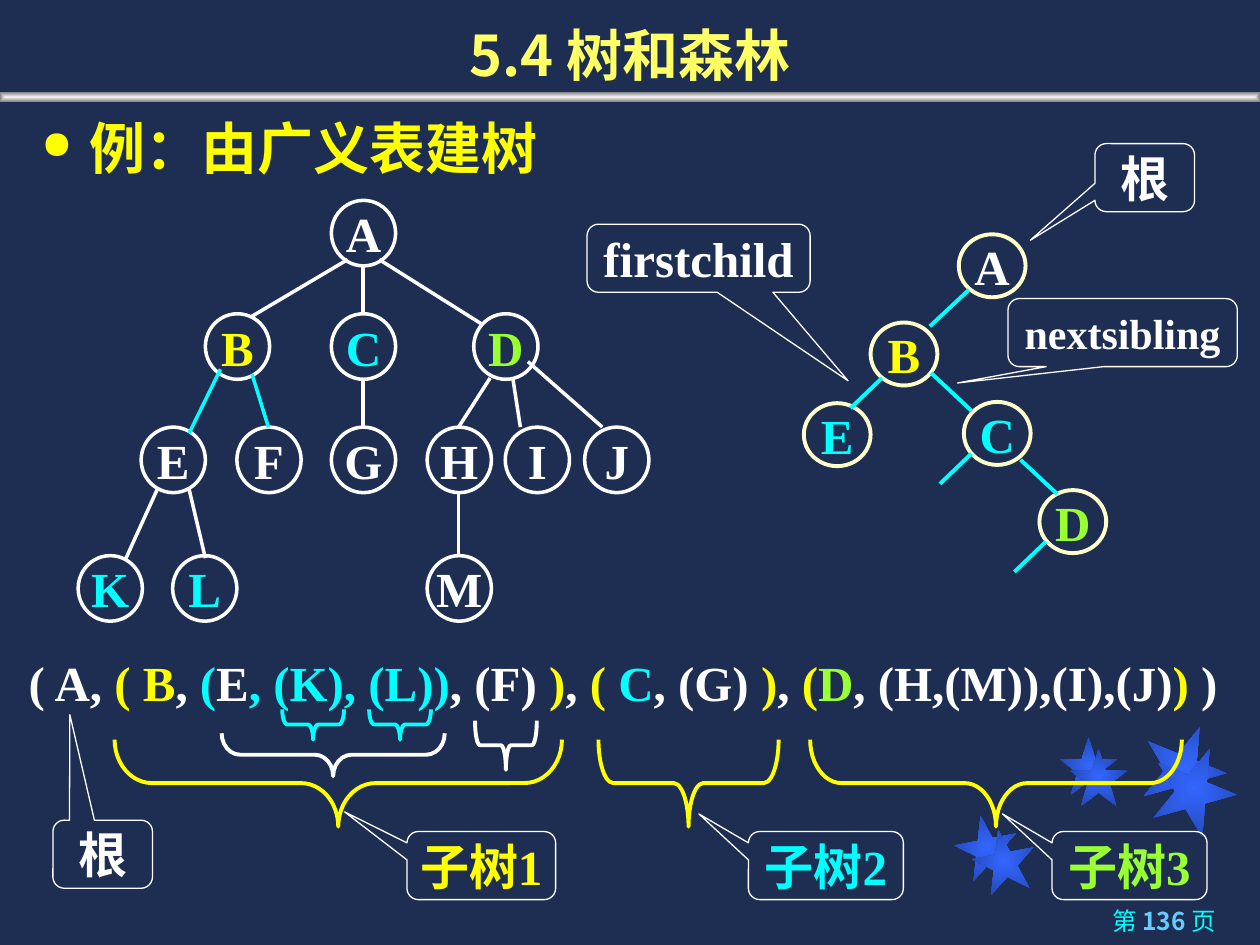
from dataclasses import dataclass

from lxml import etree
from pptx import Presentation
from pptx import util as u
from pptx.dml.color import RGBColor
from pptx.enum import shapes, text
from pptx.oxml.ns import qn

COLORS = {
    "navy": "1E2E53", "white": "FFFFFF", "yellow": "FFFF00", "title": "FFFF66",
    "cyan": "00FFFF", "green": "99FF33", "cream": "FFFFCC", "number": "66CCFF",
    "star": "3366FF", "star_edge": "2449B6", "bar": "F2F2F2", "bar_edge": "808080",
}
SERIF, SANS, CJK = "Times New Roman", "Arial", "Noto Sans CJK SC"
SHAPE = shapes.MSO_SHAPE


@dataclass
class Node:
    label: str
    left: float
    top: float
    color: str = "white"


@dataclass
class Edge:
    start: tuple[float, float]
    end: tuple[float, float]
    color: str = "white"


@dataclass
class Brace:
    left: float
    top: float
    width: float
    depth: float
    bend: float
    color: str


@dataclass
class Callout:
    label: str
    left: float
    top: float
    width: float
    tip: tuple[float, float]
    color: str = "white"
    size: int = 28


def length(inches: float) -> u.Length:
    return u.Cm(inches * 2.54)


def rgb(name: str) -> RGBColor:
    return RGBColor.from_string(COLORS[name])


def format_run(run, color: str, size: int, font: str = SERIF, bold: bool = True) -> None:
    run.font.name, run.font.size, run.font.bold = font, u.Pt(size), bold
    run.font.color.rgb = rgb(color)
    run.font._element.find(qn("a:latin")).addnext(
        etree.Element(qn("a:ea"), typeface=CJK))


def add_runs(paragraph, parts: list[tuple[str, str]], size: int) -> None:
    for words, color in parts:
        run = paragraph.add_run()
        run.text = words
        format_run(run, color, size)


def add_label(shape, label: str, color: str, size: int, wrap: bool) -> None:
    frame = shape.text_frame
    frame.text = label
    frame.word_wrap = wrap
    frame.vertical_anchor = text.MSO_ANCHOR.MIDDLE
    frame.paragraphs[0].alignment = text.PP_ALIGN.CENTER
    format_run(frame.paragraphs[0].runs[0], color, size)


def add_shape(slide, kind, left: float, top: float, width: float, height: float):
    shape = slide.shapes.add_shape(kind, *map(length, (left, top, width, height)))
    shape.shadow.inherit = False
    return shape


def add_outline(slide, kind, box: tuple, color: str, weight: float):
    shape = add_shape(slide, kind, *box)
    shape.fill.background()
    shape.line.color.rgb = rgb(color)
    shape.line.width = u.Pt(weight)
    return shape


def add_glow(slide, kind, box: tuple, center: str, edge: str, rotation: int = 0) -> None:
    shape = add_shape(slide, kind, *box)
    shape.rotation = rotation
    shape.line.fill.background()
    shape.fill.gradient()
    for stop, color in zip(shape.fill.gradient_stops, (center, edge)):
        stop.color.rgb = rgb(color)
    linear = shape._element.spPr.find(qn("a:gradFill")).find(qn("a:lin"))
    path = etree.Element(qn("a:path"), path="shape")
    etree.SubElement(path, qn("a:fillToRect"), l="50000", t="50000", r="50000", b="50000")
    linear.getparent().replace(linear, path)


def add_node(slide, node: Node, width: float, height: float, line: str, weight: float) -> None:
    box = (node.left, node.top, width, height)
    shape = add_outline(slide, SHAPE.OVAL, box, line, weight)
    add_label(shape, node.label, node.color, 28, False)


def add_edge(slide, edge: Edge, weight: float) -> None:
    line = slide.shapes.add_connector(
        shapes.MSO_CONNECTOR.STRAIGHT, *map(length, edge.start + edge.end))
    line.line.color.rgb = rgb(edge.color)
    line.line.width = u.Pt(weight)
    etree.SubElement(line._element.spPr, qn("a:effectLst"))


def add_brace(slide, brace: Brace) -> None:
    # A left brace turned to point down: swap its sides around the same centre
    shift = (brace.width - brace.depth) / 2
    box = (brace.left + shift, brace.top - shift, brace.depth, brace.width)
    shape = add_outline(slide, SHAPE.LEFT_BRACE, box, brace.color, 2.25)
    shape.rotation = 270
    shape.adjustments[0] = brace.bend


def add_callout(slide, callout: Callout) -> None:
    box = (callout.left, callout.top, callout.width, 0.54)
    shape = add_outline(slide, SHAPE.ROUNDED_RECTANGULAR_CALLOUT, box, "white", 0.75)
    shape.adjustments[0], shape.adjustments[1] = callout.tip
    frame = shape.text_frame
    frame.margin_left = frame.margin_right = frame.margin_top = frame.margin_bottom = 0
    add_label(shape, callout.label, callout.color, callout.size, True)


def add_text_box(slide, left: float, top: float, width: float, height: float):
    frame = slide.shapes.add_textbox(*map(length, (left, top, width, height))).text_frame
    frame.word_wrap = True
    return frame


ROWS = (1.59, 2.49, 3.39, 4.41)
TREE_NODES = [
    Node("A", 2.63, ROWS[0]),
    Node("B", 1.63, ROWS[1], "yellow"), Node("C", 2.63, ROWS[1], "cyan"),
    Node("D", 3.76, ROWS[1], "green"),
    *(Node(label, left, ROWS[2]) for label, left in zip(
        "EFGHIJ", (1.12, 1.88, 2.63, 3.39, 4.01, 4.64))),
    Node("K", 0.62, ROWS[3], "cyan"), Node("L", 1.37, ROWS[3], "cyan"),
    Node("M", 3.39, ROWS[3]),
]
TREE_EDGES = [
    Edge((2.76, 2.06), (2, 2.51)), Edge((2.88, 2.1), (2.88, 2.49)),
    Edge((3.01, 2.06), (3.82, 2.57)), Edge((1.75, 2.93), (1.5, 3.44), "cyan"),
    Edge((2, 2.97), (2.13, 3.39), "cyan"), Edge((2.88, 3), (2.88, 3.39)),
    Edge((3.89, 3), (3.64, 3.39)), Edge((4.07, 3), (4.13, 3.39)),
    Edge((4.19, 2.87), (4.78, 3.39)), Edge((1.25, 3.88), (1, 4.43)),
    Edge((1.5, 3.88), (1.63, 4.43)), Edge((3.64, 3.9), (3.64, 4.41)),
]
BINARY_NODES = [
    Node("A", 7.61, 1.86), Node("B", 6.91, 2.56, "yellow"), Node("C", 7.65, 3.19, "cyan"),
    Node("D", 8.25, 3.89, "green"), Node("E", 6.38, 3.2, "cyan"),
]
BINARY_EDGES = [Edge(start, end, "cyan") for start, end in (
    ((7.69, 2.3), (7.38, 2.59)), ((7.39, 2.96), (7.71, 3.26)),
    ((8.1, 3.65), (8.39, 3.92)), ((7, 3), (6.75, 3.24)),
    ((7.71, 3.6), (7.46, 3.84)), ((8.3, 4.3), (8.05, 4.54)))]
BRACES = [
    Brace(2.24, 5.63, 0.49, 0.24, 0.17, "cyan"), Brace(2.93, 5.63, 0.49, 0.24, 0.17, "cyan"),
    Brace(1.76, 5.82, 1.77, 0.34, 0.43, "white"), Brace(3.77, 5.72, 0.49, 0.39, 0.1, "white"),
    Brace(0.91, 5.87, 3.55, 0.69, 0.43, "yellow"), Brace(4.75, 5.87, 1.43, 0.69, 0.17, "yellow"),
    Brace(6.43, 5.87, 2.95, 0.69, 0.36, "yellow"),
]
CALLOUTS = [
    Callout("根", 0.42, 6.51, 0.79, (-0.33, -2.05)),
    Callout("子树1", 3.23, 6.6, 1.18, (-0.92, -0.79), "yellow"),
    Callout("子树2", 5.94, 6.6, 1.23, (-0.82, -0.76), "cyan"),
    Callout("子树3", 8.35, 6.6, 1.23, (-0.82, -0.76), "green"),
    Callout("根", 8.69, 1.14, 0.79, (-1.15, 0.92)),
    Callout("firstchild", 4.66, 1.78, 1.77, (0.67, 1.8)),
    Callout("nextsibling", 8, 2.37, 1.82, (-0.72, 0.74), size=24),
]
FORMULA = [
    ("( A, ", "white"), ("( B", "yellow"), (", ", "white"), ("(", "cyan"), ("E", "white"),
    (", (K), (L))", "cyan"), (", (F) ", "white"), (")", "yellow"), (", ", "white"),
    ("(", "yellow"), (" C", "cyan"), (", (G) ", "white"), (")", "yellow"), (", ", "white"),
    ("(", "yellow"), ("D", "green"), (", (H,(M)),(I),(J)", "white"), (")", "yellow"),
    (" )", "white"),
]
STARS = [  # left, top, size, rotation
    (7.58, 6.47, 0.5, 349), (8.41, 5.85, 0.46, 0), (9.06, 5.75, 0.67, 22),
    (7.72, 6.58, 0.5, 349), (8.49, 5.94, 0.46, 0), (9.14, 5.92, 0.67, 22),
]


def main() -> None:
    presentation = Presentation()
    presentation.slide_width, presentation.slide_height = length(10), length(7.5)
    slide = presentation.slides.add_slide(presentation.slide_layouts[5])
    slide.background.fill.solid()
    slide.background.fill.fore_color.rgb = rgb("navy")

    # Backdrop
    for left, top, size, rotation in STARS:
        add_glow(slide, SHAPE.STAR_5_POINT, (left, top, size, size), "star", "star_edge", rotation)
    add_glow(slide, SHAPE.RECTANGLE, (0, 0.73, 10, 0.08), "bar", "bar_edge")

    # Title
    title = slide.shapes.title
    title.left, title.top, title.width, title.height = map(length, (0, 0, 10, 0.75))
    title.text_frame.text = "5.4 树和森林"
    title.text_frame.vertical_anchor = text.MSO_ANCHOR.BOTTOM
    title.text_frame.auto_size = text.MSO_AUTO_SIZE.NONE
    title.text_frame.paragraphs[0].alignment = text.PP_ALIGN.CENTER
    format_run(title.text_frame.paragraphs[0].runs[0], "title", 32, CJK)

    # Bulleted heading
    paragraph = add_text_box(slide, 0.23, 0.85, 9.55, 0.64).paragraphs[0]
    paragraph.text = "例：由广义表建树"
    properties = paragraph._p.get_or_add_pPr()
    properties.set("marL", str(length(0.38)))
    properties.set("indent", str(-length(0.38)))
    bullet_color = etree.SubElement(properties, qn("a:buClr"))
    etree.SubElement(bullet_color, qn("a:srgbClr"), val=COLORS["yellow"])
    etree.SubElement(properties, qn("a:buSzPct"), val="70000")
    etree.SubElement(properties, qn("a:buChar"), char="●")
    format_run(paragraph.runs[0], "yellow", 32, SANS)

    # General tree and its binary form
    for node in TREE_NODES:
        add_node(slide, node, 0.51, 0.52, "white", 2)
    for edge in TREE_EDGES:
        add_edge(slide, edge, 2)
    for node in BINARY_NODES:
        add_node(slide, node, 0.53, 0.5, "cream", 2.25)
    for edge in BINARY_EDGES:
        add_edge(slide, edge, 2.25)

    # Generalized list with its subtrees
    frame = add_text_box(slide, 0.13, 5.13, 9.77, 0.57)
    frame.margin_right = 0
    frame.vertical_anchor = text.MSO_ANCHOR.MIDDLE
    add_runs(frame.paragraphs[0], FORMULA, 28)
    for brace in BRACES:
        add_brace(slide, brace)
    for callout in CALLOUTS:
        add_callout(slide, callout)

    # Page number
    paragraph = add_text_box(slide, 7.12, 7.14, 2.63, 0.36).paragraphs[0]
    paragraph.alignment = text.PP_ALIGN.RIGHT
    for words, color, bold in (("第 ", "cyan", False), ("136 ", "number", True), ("页", "cyan", False)):
        run = paragraph.add_run()
        run.text = words
        format_run(run, color, 14, CJK, bold)

    presentation.save("out.pptx")


if __name__ == "__main__":
    main()
